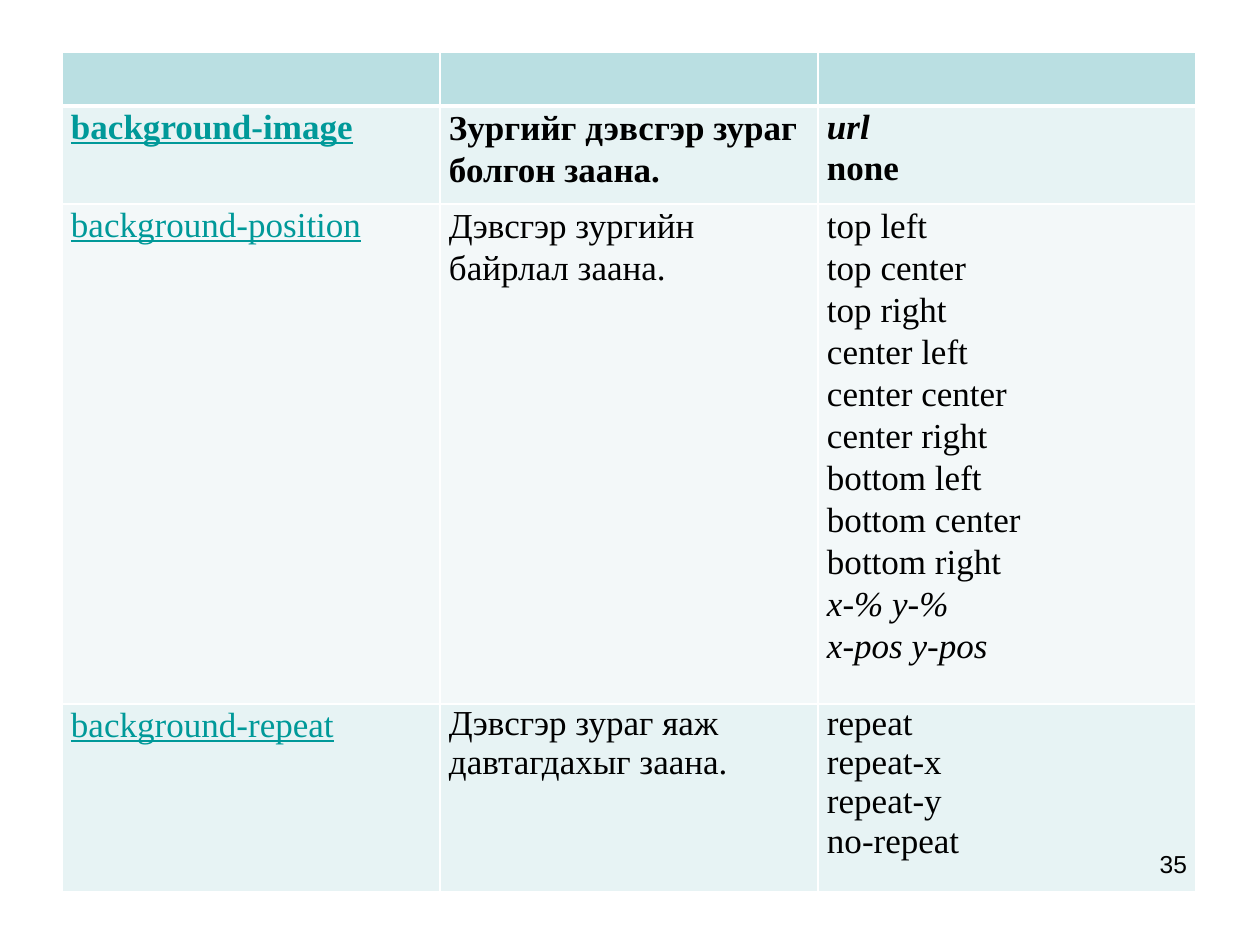
from dataclasses import dataclass

from lxml.etree import SubElement
from pptx import Presentation
from pptx.dml.color import RGBColor
from pptx.enum.text import PP_ALIGN
from pptx.oxml.ns import qn
from pptx.table import _Cell
from pptx.util import Pt

SCALE = 914400 / 126
SERIF = "Times New Roman"
TEAL = "009999"
BLACK = "000000"
WHITE = "FFFFFF"


@dataclass
class Line:
    text: str
    lead: float = 23.4
    color: str = BLACK
    bold: bool = False
    slant: bool = False
    link: bool = False
    size: int = 20
    font: str = SERIF
    align: PP_ALIGN = PP_ALIGN.LEFT


@dataclass
class Row:
    height: int
    fill: str
    cells: list[list[Line]]
    top: int = 1
    base: int = 1


def px(count: int) -> int:
    return round(count * SCALE)


def shade(code: str) -> RGBColor:
    return RGBColor.from_string(code)


def link(text: str, bold: bool = False) -> list[Line]:
    return [Line(text, color=TEAL, bold=bold, link=True)]


def lines(*texts: str, lead: float = 23.4, bold: bool = False, slant: bool = False) -> list[Line]:
    return [Line(text, lead, bold=bold, slant=slant) for text in texts]


def edge(cell: _Cell, top: int, base: int) -> None:
    props = cell._tc.get_or_add_tcPr()
    sides = {"a:lnL": 1, "a:lnR": 1, "a:lnT": top, "a:lnB": base}
    for spot, (tag, width) in enumerate(sides.items()):
        line = SubElement(props, qn(tag), w=str(Pt(width)))
        fill = SubElement(line, qn("a:solidFill"))
        SubElement(fill, qn("a:srgbClr"), val=WHITE)
        props.insert(spot, line)


def write(cell: _Cell, texts: list[Line]) -> None:
    frame = cell.text_frame
    for spot, line in enumerate(texts):
        para = frame.add_paragraph() if spot else frame.paragraphs[0]
        para.text = line.text
        para.alignment = line.align
        para.line_spacing = Pt(line.lead)
        font = para.font
        font.name = line.font
        font.size = Pt(line.size)
        font.bold = line.bold
        font.italic = line.slant
        font.underline = line.link
        font.color.rgb = shade(line.color)


def draw(cell: _Cell, row: Row, texts: list[Line]) -> None:
    cell.margin_left = cell.margin_right = px(9)
    cell.margin_top = cell.margin_bottom = 0
    cell.fill.solid()
    cell.fill.fore_color.rgb = shade(row.fill)
    edge(cell, row.top, row.base)
    write(cell, texts)


ROWS = [
    Row(54, "BADFE2", [[], [], []], base=3),
    Row(98, "E7F3F4", [
        link("background-image", bold=True),
        lines("Зургийг дэвсгэр зураг", "болгон заана.", lead=24, bold=True),
        lines("url", bold=True, slant=True) + lines("none", bold=True),
    ], top=3),
    Row(500, "F3F8F9", [
        link("background-position"),
        lines("Дэвсгэр зургийн", "байрлал заана.", lead=24),
        lines(
            *(f"{high} {side}" for high in ("top", "center", "bottom")
              for side in ("left", "center", "right")),
            lead=24,
        ) + lines("x-% y-%", "x-pos y-pos", lead=24, slant=True),
    ]),
    Row(188, "E7F3F4", [
        link("background-repeat"),
        lines("Дэвсгэр зураг яаж", "давтагдахыг заана.", lead=22.4),
        lines("repeat", "repeat-x", "repeat-y", "no-repeat", lead=22.4)
        + [Line("35", 10.6, size=14, font="Arial", align=PP_ALIGN.RIGHT)],
    ]),
]


def main() -> None:
    deck = Presentation()
    deck.slide_width, deck.slide_height = px(1260), px(945)
    slide = deck.slides.add_slide(deck.slide_layouts[6])
    high = sum(row.height for row in ROWS)
    table = slide.shapes.add_table(len(ROWS), 3, px(62), px(52), px(1134), px(high)).table
    table.first_row = table.horz_banding = False
    for col in table.columns:
        col.width = px(378)
    for spot, row in enumerate(ROWS):
        table.rows[spot].height = px(row.height)
        for col, texts in enumerate(row.cells):
            draw(table.cell(spot, col), row, texts)
    deck.save("out.pptx")


if __name__ == "__main__":
    main()
